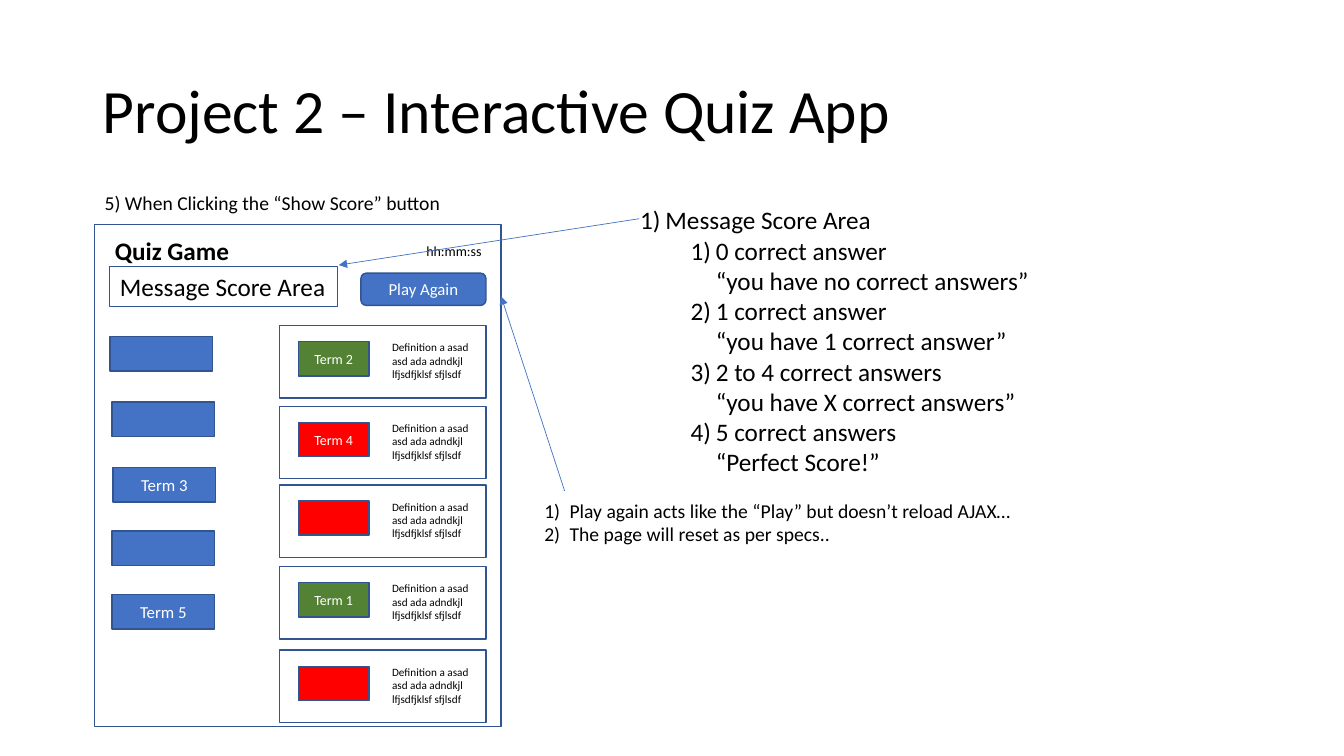
from dataclasses import dataclass

from lxml import etree
from pptx import Presentation
from pptx.dml.color import RGBColor
from pptx.enum.shapes import MSO_CONNECTOR, MSO_SHAPE
from pptx.enum.text import MSO_ANCHOR, MSO_AUTO_SIZE, PP_ALIGN
from pptx.oxml.ns import qn
from pptx.util import Inches, Pt

RECT, ROUND = MSO_SHAPE.RECTANGLE, MSO_SHAPE.ROUNDED_RECTANGLE
STRAIGHT = MSO_CONNECTOR.STRAIGHT
TOP, MIDDLE = MSO_ANCHOR.TOP, MSO_ANCHOR.MIDDLE
LEFT, CENTER = PP_ALIGN.LEFT, PP_ALIGN.CENTER
NO_AUTOFIT = MSO_AUTO_SIZE.NONE


@dataclass(frozen=True)
class Theme:
    """Colours, font and type sizes of the slide."""
    font: str = "Calibri"
    black: str = "000000"
    white: str = "FFFFFF"
    blue: str = "4472C4"
    outline: str = "325491"
    green: str = "548235"
    red: str = "FF0000"
    title: int = 44
    heading: int = 18
    note: int = 14
    button: int = 12
    small: int = 10
    definition: int = 8


THEME = Theme()
DEFINITION = "Definition a asad asd ada adndkjl lfjsdfjklsf sfjlsdf"
SCORE_MESSAGES = [
    ("Message Score Area",),
    ("0 correct answer", "“you have no correct answers”"),
    ("1 correct answer", "“you have 1 correct answer”"),
    ("2 to 4 correct answers", "“you have X correct answers”"),
    ("5 correct answers", "“Perfect Score!”"),
]
PLAY_AGAIN_NOTES = [
    ("Play again acts like the “Play” but doesn’t reload AJAX…",),
    ("The page will reset as per specs..",),
]
TERM_SLOTS = [(1.09, 3.34, ""), (1.11, 3.99, ""), (1.12, 4.64, "Term 3"),
              (1.11, 5.27, ""), (1.11, 5.9, "Term 5")]
CARDS = [(3.23, THEME.green, "Term 2"), (4.03, THEME.red, "Term 4"),
         (4.81, THEME.red, ""), (5.62, THEME.green, "Term 1"),
         (6.45, THEME.red, "")]


def place(sp, box):
    """Move and size a shape to a box given in inches."""
    sp.left, sp.top, sp.width, sp.height = map(Inches, box)


def add_run(p, text, size, color=THEME.black, bold=False):
    """Add one formatted run to a paragraph."""
    r = p.add_run()
    r.text = text
    r.font.name = THEME.font
    r.font.size = Pt(size)
    r.font.bold = bold
    r.font.color.rgb = RGBColor.from_string(color)


def add_label(slide, box, text, size, bold=False, wrap=True):
    """Add a plain text box with one paragraph."""
    tf = slide.shapes.add_textbox(*map(Inches, box)).text_frame
    tf.word_wrap = wrap
    add_run(tf.paragraphs[0], text, size, bold=bold)


def add_box(slide, box, fill=None, text="", size=THEME.button,
            color=THEME.white, kind=RECT, align=CENTER, anchor=MIDDLE, line=1):
    """Add an outlined shape with optional fill and text."""
    sp = slide.shapes.add_shape(kind, *map(Inches, box))
    sp.shadow.inherit = False
    sp.line.color.rgb = RGBColor.from_string(THEME.outline)
    sp.line.width = Pt(line)
    if fill:
        sp.fill.solid()
        sp.fill.fore_color.rgb = RGBColor.from_string(fill)
    else:
        sp.fill.background()
    if text:
        tf = sp.text_frame
        tf.vertical_anchor = anchor
        p = tf.paragraphs[0]
        p.alignment = align
        add_run(p, text, size, color)


def number(p, margin):
    """Give a paragraph automatic numbering with a hanging indent."""
    pPr = p._p.get_or_add_pPr()
    pPr.set("marL", str(Inches(margin)))
    pPr.set("indent", str(-Inches(0.25)))
    etree.SubElement(pPr, qn("a:buFont"), typeface="+mj-lt")
    etree.SubElement(pPr, qn("a:buAutoNum"), type="arabicParenR")


def fill_list(tf, items, size, sub_level=0):
    """Write a numbered list, putting items after the first at sub_level."""
    tf.word_wrap = True
    tf.auto_size = NO_AUTOFIT
    for i, lines in enumerate(items):
        p = tf.paragraphs[0] if i == 0 else tf.add_paragraph()
        p.level = sub_level if i else 0
        p.space_before = Pt(0)
        number(p, 0.25 + 0.5 * p.level)
        for j, text in enumerate(lines):
            if j:
                p.add_line_break()
            add_run(p, text, size)


def add_arrow(slide, start, end):
    """Add a thin line with a triangle head at its end."""
    cx = slide.shapes.add_connector(STRAIGHT, *map(Inches, start + end))
    cx.line.color.rgb = RGBColor.from_string(THEME.blue)
    cx.line.width = Pt(0.5)
    etree.SubElement(cx.line._get_or_add_ln(), qn("a:tailEnd"), type="triangle")
    etree.SubElement(cx._element.spPr, qn("a:effectLst"))


def add_title(slide, text):
    """Format the title placeholder."""
    title = slide.shapes.title
    place(title, (0.92, 0.4, 11.5, 1.45))
    tf = title.text_frame
    tf.auto_size = NO_AUTOFIT
    tf.vertical_anchor = MIDDLE
    p = tf.paragraphs[0]
    p.alignment = LEFT
    p.line_spacing = 0.9
    add_run(p, text, THEME.title)


def add_card(slide, top, color, term):
    """Add a definition card with its answer slot."""
    add_box(slide, (2.77, top, 2.05, 0.72))
    add_label(slide, (3.79, top + 0.1, 1.05, 0.5), DEFINITION, THEME.definition)
    add_box(slide, (2.96, top + 0.16, 0.7, 0.34), color, term, THEME.small)


def add_quiz_screen(slide):
    """Draw the mock-up of the quiz page."""
    add_box(slide, (0.94, 2.23, 4.03, 4.98), THEME.white)
    add_label(slide, (1.04, 2.29, 1.35, 0.4), "Quiz Game", THEME.heading,
              bold=True, wrap=False)
    add_box(slide, (3.58, 2.71, 1.24, 0.32), THEME.blue, "Play Again", kind=ROUND)
    add_label(slide, (4.13, 2.36, 0.76, 0.27), "hh:mm:ss", THEME.small, wrap=False)
    for left, top, term in TERM_SLOTS:
        add_box(slide, (left, top, 1.02, 0.34), THEME.blue, term)
    for top, color, term in CARDS:
        add_card(slide, top, color, term)
    add_box(slide, (1.09, 2.64, 2.26, 0.4), text="Message Score Area",
            size=THEME.heading, color=THEME.black, align=LEFT, anchor=TOP, line=0.75)


def main():
    """Build and save the slide."""
    prs = Presentation()
    prs.slide_width, prs.slide_height = Inches(13.33), Inches(7.5)
    slide = prs.slides.add_slide(prs.slide_layouts[1])
    add_title(slide, "Project 2 – Interactive Quiz App")
    body = slide.placeholders[1]
    place(body, (6.25, 1.98, 4.89, 2.83))
    fill_list(body.text_frame, SCORE_MESSAGES, THEME.heading, sub_level=1)
    add_label(slide, (0.94, 1.84, 4.03, 0.34),
              "5) When Clicking the “Show Score” button", THEME.note)
    add_quiz_screen(slide)
    add_arrow(slide, (6.34, 2.17), (3.36, 2.63))
    notes = slide.shapes.add_textbox(*map(Inches, (5.3, 4.9, 4.89, 0.57)))
    fill_list(notes.text_frame, PLAY_AGAIN_NOTES, THEME.note)
    add_arrow(slide, (5.6, 4.87), (4.97, 2.94))
    prs.save("out.pptx")


if __name__ == "__main__":
    main()
